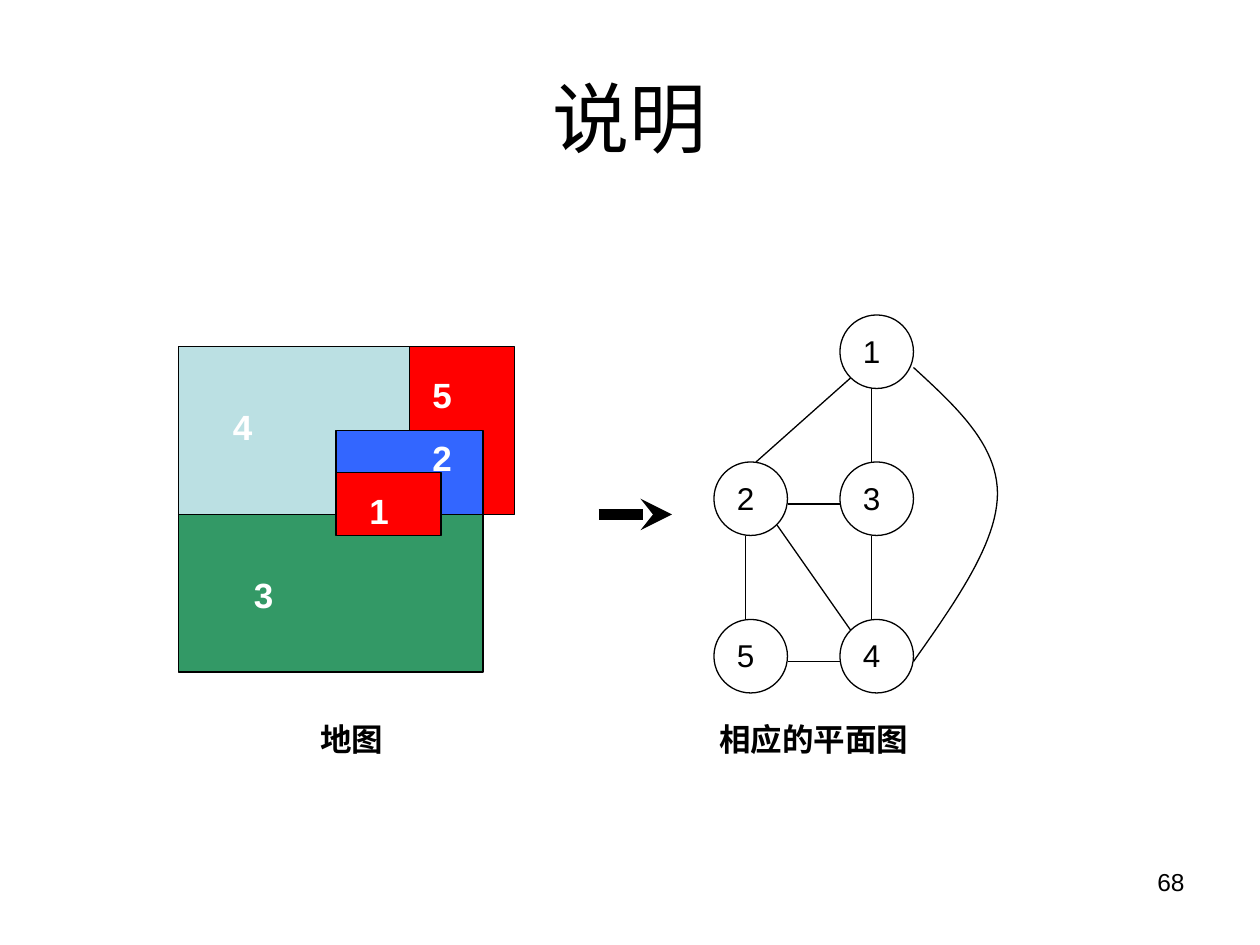
"""Build a slide that turns a five-region map into its planar graph."""
from pptx import Presentation, util as u
from pptx.dml.color import RGBColor
from pptx.enum import shapes, text
from pptx.oxml.ns import qn
from lxml import etree

deck = Presentation()
deck.slide_width, deck.slide_height = u.Inches(10), u.Inches(7.5)
page = deck.slides.add_slide(deck.slide_layouts[6])
COLUMN = deck.slide_width // 120
ROW = deck.slide_height // 90
BLACK, WHITE = "000000", "FFFFFF"
LEFT, CENTER, RIGHT = text.PP_ALIGN.LEFT, text.PP_ALIGN.CENTER, text.PP_ALIGN.RIGHT


def write(words, column, row, columns, rows, size, align=LEFT, color=BLACK, bold=False, before=0):
    box = page.shapes.add_textbox(
        int(column * COLUMN), int(row * ROW), int(columns * COLUMN), int(rows * ROW))
    box.text_frame.word_wrap = True
    para = box.text_frame.paragraphs[0]
    para.text, para.alignment, para.space_before = words, align, u.Pt(before)
    para.font.name, para.font.size, para.font.bold = "Arial", u.Pt(size), bold
    para.font.color.rgb = RGBColor.from_string(color)
    return box


def outline(shape, fill=None, width=0.75):
    shape.shadow.inherit = False
    shape.line.color.rgb = RGBColor.from_string(BLACK)
    shape.line.width = u.Pt(width)
    if fill:
        shape.fill.solid()
        shape.fill.fore_color.rgb = RGBColor.from_string(fill)
    else:
        shape.fill.background()


write("68", 86, 82, 28, 6.25, 14, RIGHT)
title = write("说明", 6, 3.6, 108, 15, 44, CENTER)
title.text_frame.vertical_anchor = text.MSO_ANCHOR.MIDDLE

regions = [
    (17, 33, 22, 16, "BBE0E3"),
    (39, 33, 10, 16, "FF0000"),
    (32, 41, 14, 8, "3366FF"),
    (17, 49, 29, 15, "339966"),
    (32, 45, 10, 6, "FF0000"),
]
for column, row, columns, rows, fill in regions:
    region = page.shapes.add_shape(
        shapes.MSO_SHAPE.RECTANGLE, column * COLUMN, row * ROW, columns * COLUMN, rows * ROW)
    outline(region, fill)

region_labels = {"1": (34, 46), "2": (40, 41), "4": (21, 38), "3": (23, 54), "5": (40, 35)}
for label, (column, row) in region_labels.items():
    write(label, column, row, 5, 5.25, 20, color=WHITE, bold=True, before=12.5)

nodes = {"5": (68, 59), "1": (80, 30), "2": (68, 44), "3": (80, 44), "4": (80, 59)}
for label, (column, row) in nodes.items():
    node = page.shapes.add_shape(
        shapes.MSO_SHAPE.OVAL, column * COLUMN, row * ROW, 7 * COLUMN, 7 * ROW)
    outline(node)
    write(label, column + 1, row + 1, 5, 4.8, 18, before=11.2)

edges = [
    (81, 36, 72, 44), (71, 51, 71, 59), (83, 51, 83, 59), (83, 37, 83, 44),
    (75, 48, 80, 48), (75, 63, 80, 63), (74, 50, 81, 60),
]
arrow = (57, 49, 64, 49)
for ends in edges + [arrow]:
    x1, y1, x2, y2 = ends
    line = page.shapes.add_connector(
        shapes.MSO_CONNECTOR.STRAIGHT, x1 * COLUMN, y1 * ROW, x2 * COLUMN, y2 * ROW)
    line.line.color.rgb = RGBColor.from_string(BLACK)
    line.line.width = u.Pt(6 if ends == arrow else 0.75)
    if ends == arrow:
        etree.SubElement(line.line._get_or_add_ln(), qn("a:tailEnd"), type="stealth")
    etree.SubElement(line._element.spPr, qn("a:effectLst"))

curves = [
    ((87, 63), (91, 57.33), (95, 51.67), (95, 47)),
    ((95, 47), (95, 42.33), (91, 38.67), (87, 35)),
]
STEPS = 24
points = []
for curve in curves:
    for step in range(1, STEPS + 1):
        t = step / STEPS
        weights = ((1 - t) ** 3, 3 * t * (1 - t) ** 2, 3 * t ** 2 * (1 - t), t ** 3)
        x, y = (sum(w * point[axis] for w, point in zip(weights, curve)) for axis in (0, 1))
        points.append((int(x * COLUMN), int(y * ROW)))
builder = page.shapes.build_freeform(87 * COLUMN, 63 * ROW)
builder.add_line_segments(points, close=False)
outline(builder.convert_to_shape())

for caption, column in (("地图", 23), ("相应的平面图", 67)):
    write(caption, column, 68, 21, 4.8, 18, CENTER, bold=True, before=11.2)

deck.save("out.pptx")
